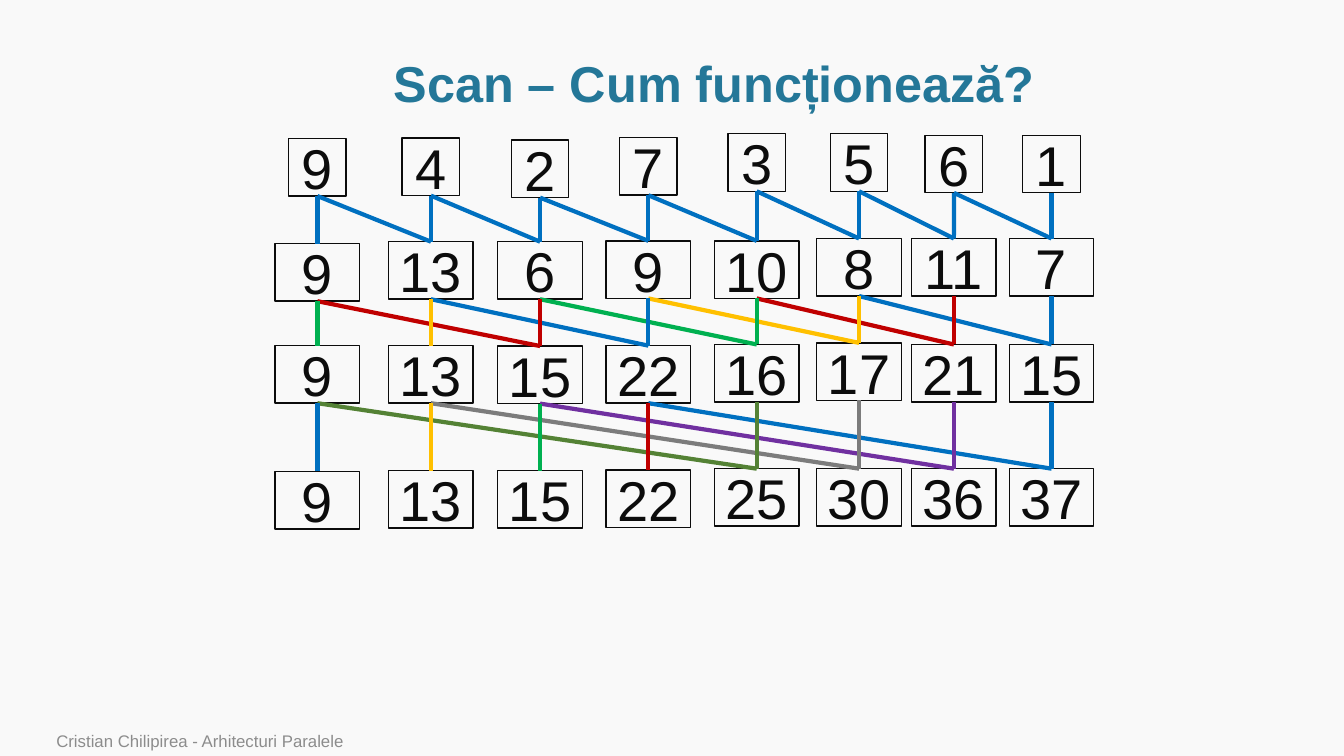
from typing import Any, NamedTuple

from lxml import etree
from pptx import Presentation, util as u
from pptx.dml.color import RGBColor
from pptx.enum import shapes, text
from pptx.oxml import ns

# Colours
PAPER = RGBColor(0xF9, 0xF9, 0xF9)
INK = RGBColor(0x0C, 0x0C, 0x0C)
TEAL = RGBColor(0x24, 0x77, 0x98)
MUTED = RGBColor(0x8C, 0x8C, 0x8C)
BLUE = RGBColor(0x00, 0x70, 0xC0)
GOLD = RGBColor(0xFF, 0xC0, 0x00)
GREEN = RGBColor(0x00, 0xB0, 0x50)
RED = RGBColor(0xC0, 0x00, 0x00)
OLIVE = RGBColor(0x54, 0x82, 0x35)
GREY = RGBColor(0x7C, 0x7C, 0x7C)
PURPLE = RGBColor(0x70, 0x30, 0xA0)

# Text formats
TITLE = {"size": u.Pt(36), "bold": True}
DIGIT = {"size": u.Pt(40)}
FOOT = {"size": u.Pt(12)}


class Row(NamedTuple):
    nums: list[int]
    tops: list[float]
    wide: float


class Stage(NamedTuple):
    step: int
    tints: list[RGBColor]


# Box centres across, then the rows of boxes, in centimetres
MIDS = [8, 10.86, 13.61, 16.34, 19.07, 21.65, 24.04, 26.5]
TALL = 1.45
ROWS = [
    Row([9, 4, 2, 7, 3, 5, 6, 1],
        [3.49, 3.48, 3.53, 3.47, 3.37, 3.37, 3.41, 3.41], 1.45),
    Row([9, 13, 6, 9, 10, 8, 11, 7],
        [6.14, 6.09, 6.09, 6.07, 6.07, 6.01, 6.01, 6.01], 2.13),
    Row([9, 13, 15, 22, 16, 17, 21, 15],
        [8.71, 8.71, 8.72, 8.71, 8.68, 8.64, 8.68, 8.68], 2.13),
    Row([9, 13, 15, 22, 25, 30, 36, 37],
        [11.88, 11.86, 11.86, 11.84, 11.81, 11.81, 11.81, 11.81], 2.13),
]

# Each stage adds the value that lies "step" boxes to the left
STAGES = [
    Stage(1, [BLUE] * 8),
    Stage(2, [GREEN, GOLD, RED, BLUE] * 2),
    Stage(4, [BLUE, GOLD, GREEN, RED, OLIVE, GREY, PURPLE, BLUE]),
]


def write(shape: Any, words: str, form: dict[str, Any], tint: RGBColor,
          align: Any, anchor: Any) -> Any:
    frame = shape.text_frame
    frame.word_wrap = True
    frame.vertical_anchor = anchor
    para = frame.paragraphs[0]
    para.alignment = align
    run = para.add_run()
    run.text = words
    for name, value in {"name": "Arial", **form}.items():
        setattr(run.font, name, value)
    run.font.color.rgb = tint
    return para


def draw_box(slide: Any, num: int, mid: float, top: float, wide: float) -> Any:
    box = slide.shapes.add_shape(
        shapes.MSO_SHAPE.RECTANGLE,
        u.Cm(mid - wide / 2), u.Cm(top), u.Cm(wide), u.Cm(TALL))
    box.shadow.inherit = False
    box.fill.background()
    box.line.color.rgb = INK
    box.line.width = u.Pt(1)
    write(box, str(num), DIGIT, INK,
          text.PP_ALIGN.CENTER, text.MSO_ANCHOR.MIDDLE)
    return box


def link(slide: Any, start: Any, end: Any, tint: RGBColor) -> None:
    line = slide.shapes.add_connector(shapes.MSO_CONNECTOR.STRAIGHT, 0, 0, 0, 0)
    line.begin_connect(start, 2)
    line.end_connect(end, 0)
    line.line.color.rgb = tint
    line.line.width = u.Pt(3)
    etree.SubElement(line._element.spPr, ns.qn("a:effectLst"))


def main() -> None:
    deck = Presentation()
    deck.slide_width, deck.slide_height = u.Cm(33.87), u.Cm(19.05)
    slide = deck.slides.add_slide(deck.slide_layouts[6])
    slide.background.fill.solid()
    slide.background.fill.fore_color.rgb = PAPER

    # Title
    head = slide.shapes.add_textbox(u.Cm(2.9), u.Cm(1.3), u.Cm(30.2), u.Cm(1.75))
    para = write(head, "Scan – Cum funcționează?", TITLE, TEAL,
                 text.PP_ALIGN.CENTER, text.MSO_ANCHOR.MIDDLE)
    para.line_spacing = 0.9

    # Boxes
    grid = [[draw_box(slide, num, mid, top, row.wide)
             for num, mid, top in zip(row.nums, MIDS, row.tops)]
            for row in ROWS]

    # Links from each row to the next, right to left
    for stage, upper, lower in zip(STAGES, grid, grid[1:]):
        for col in reversed(range(len(MIDS))):
            tint = stage.tints[col]
            if col >= stage.step:
                link(slide, upper[col - stage.step], lower[col], tint)
            link(slide, upper[col], lower[col], tint)

    # Footer
    foot = slide.shapes.add_textbox(u.Cm(1.17), u.Cm(18.34), u.Cm(24.94), u.Cm(0.71))
    write(foot, "Cristian Chilipirea - Arhitecturi Paralele", FOOT, MUTED,
          text.PP_ALIGN.LEFT, text.MSO_ANCHOR.BOTTOM)

    deck.save("out.pptx")


if __name__ == "__main__":
    main()
